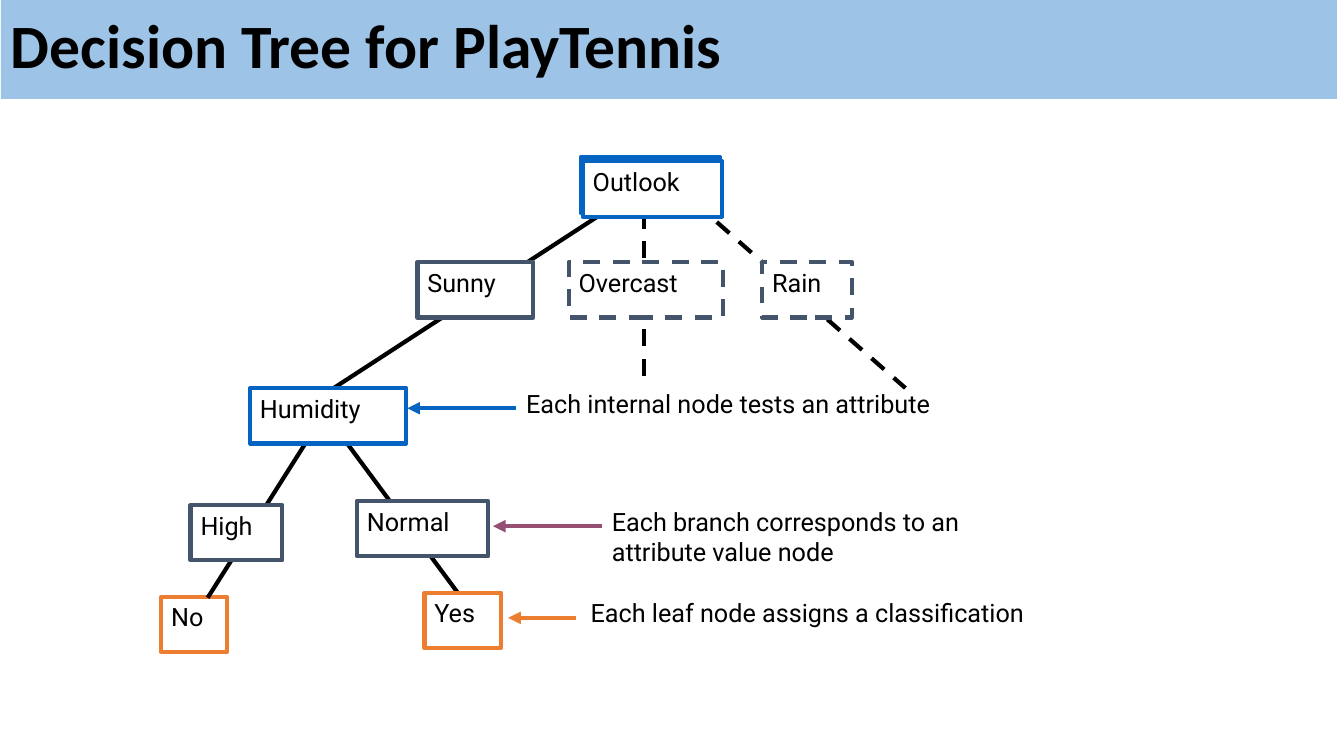
from lxml import etree
from pptx import Presentation
from pptx import util as u
from pptx.dml.color import RGBColor
from pptx.enum import dml, shapes, text
from pptx.oxml import ns

COLUMNS, ROWS = 133.3, 75
CELL = u.Inches(0.1)
NODE_ROWS = 5.5
BLACK, WHITE, BLUE, SLATE, ORANGE, PLUM, SKY = (
    "000000", "FFFFFF", "0563C1", "44546A", "ED7D31", "954F72", "9DC3E6")
LABEL = {"name": "Roboto", "size": u.Pt(18), "bold": False}
HEADING = {"name": "Calibri", "size": u.Pt(44), "bold": True}

BACK_NODES = [
    ("", 57.6, 15.6, 13.8, BLUE, False),
    ("No", 16, 59.2, 6.5, ORANGE, False),
]
FRONT_NODES = [
    ("Outlook", 57.8, 16, 13.8, BLUE, False),
    ("Sunny", 41.4, 26, 11.5, SLATE, False),
    ("Overcast", 56.4, 26, 15.3, SLATE, True),
    ("Rain", 75.6, 26, 8.9, SLATE, True),
    ("Humidity", 24.8, 38.5, 15.5, BLUE, False),
    ("High", 18.9, 50.1, 9.1, SLATE, False),
    ("Normal", 35.4, 49.7, 13, SLATE, False),
    ("Yes", 42.1, 58.8, 7.6, ORANGE, False),
]
BRANCHES = [
    (61.4, 20.1, 33.1, 38.5, False),
    (63.9, 21, 63.9, 38.5, True),
    (68.9, 20.1, 89.8, 38.5, True),
    (30.6, 43.5, 20.6, 59.3, False),
    (33.7, 43, 45.4, 58.8, False),
]
NOTES = [
    (["Each internal node tests an attribute"], 51.2, 38, 55.6, 51.2, 40.4, BLUE),
    (["Each branch corresponds to an", "attribute value node"],
     59.7, 49.7, 47.6, 59.7, 48.9, PLUM),
    (["Each leaf node assigns a classification"], 57.6, 58.8, 57.7, 57.1, 50.4, ORANGE),
]


def grid(*cells):
    return [round(cell * CELL) for cell in cells]


def color(code):
    return RGBColor.from_string(code)


def write(box, lines, style, anchor=text.MSO_ANCHOR.TOP, spacing=1.0):
    frame = box.text_frame
    frame.word_wrap = True
    frame.vertical_anchor = anchor
    for index, line in enumerate(lines):
        para = frame.paragraphs[0] if index == 0 else frame.add_paragraph()
        para.alignment = text.PP_ALIGN.LEFT
        para.line_spacing = spacing
        span = para.add_run()
        span.text = line
        span.font.color.rgb = color(BLACK)
        for name, value in style.items():
            setattr(span.font, name, value)


def stroke(line, code, dashed):
    line.color.rgb = color(code)
    line.width = u.Pt(3)
    if dashed:
        line.dash_style = dml.MSO_LINE.DASH


def add_box(page, area, fill):
    box = page.shapes.add_shape(shapes.MSO_SHAPE.RECTANGLE, *grid(*area))
    box.shadow.inherit = False
    box.fill.solid()
    box.fill.fore_color.rgb = color(fill)
    return box


def add_title(page, title):
    box = add_box(page, (0.1, -0.1, 132.5, 9.9), SKY)
    box.line.fill.background()
    write(box, [title], HEADING, text.MSO_ANCHOR.MIDDLE, 0.9)


def add_node(page, label, left, top, width, code, dashed):
    box = add_box(page, (left, top, width, NODE_ROWS), WHITE)
    stroke(box.line, code, dashed)
    if label:
        write(box, [label], LABEL)


def add_line(page, ends, code, dashed=False, arrow=False):
    link = page.shapes.add_connector(shapes.MSO_CONNECTOR.STRAIGHT, *grid(*ends))
    stroke(link.line, code, dashed)
    if arrow:
        outline = link.line._get_or_add_ln()
        etree.SubElement(outline, ns.qn("a:tailEnd"), type="triangle")
    etree.SubElement(link._element.spPr, ns.qn("a:effectLst"))


def add_note(page, lines, left, top, width, start, end, code):
    box = page.shapes.add_textbox(*grid(left, top, width, 2 + 3 * len(lines)))
    write(box, lines, LABEL)
    level = top + 2.5
    add_line(page, (start, level, end, level), code, arrow=True)


def main():
    deck = Presentation()
    deck.slide_width, deck.slide_height = grid(COLUMNS, ROWS)
    page = deck.slides.add_slide(deck.slide_layouts[6])
    add_title(page, "Decision Tree for PlayTennis")
    for note in NOTES:
        add_note(page, *note)
    for node in BACK_NODES:
        add_node(page, *node)
    for *ends, dashed in BRANCHES:
        add_line(page, ends, BLACK, dashed)
    for node in FRONT_NODES:
        add_node(page, *node)
    deck.save("out.pptx")


if __name__ == "__main__":
    main()
